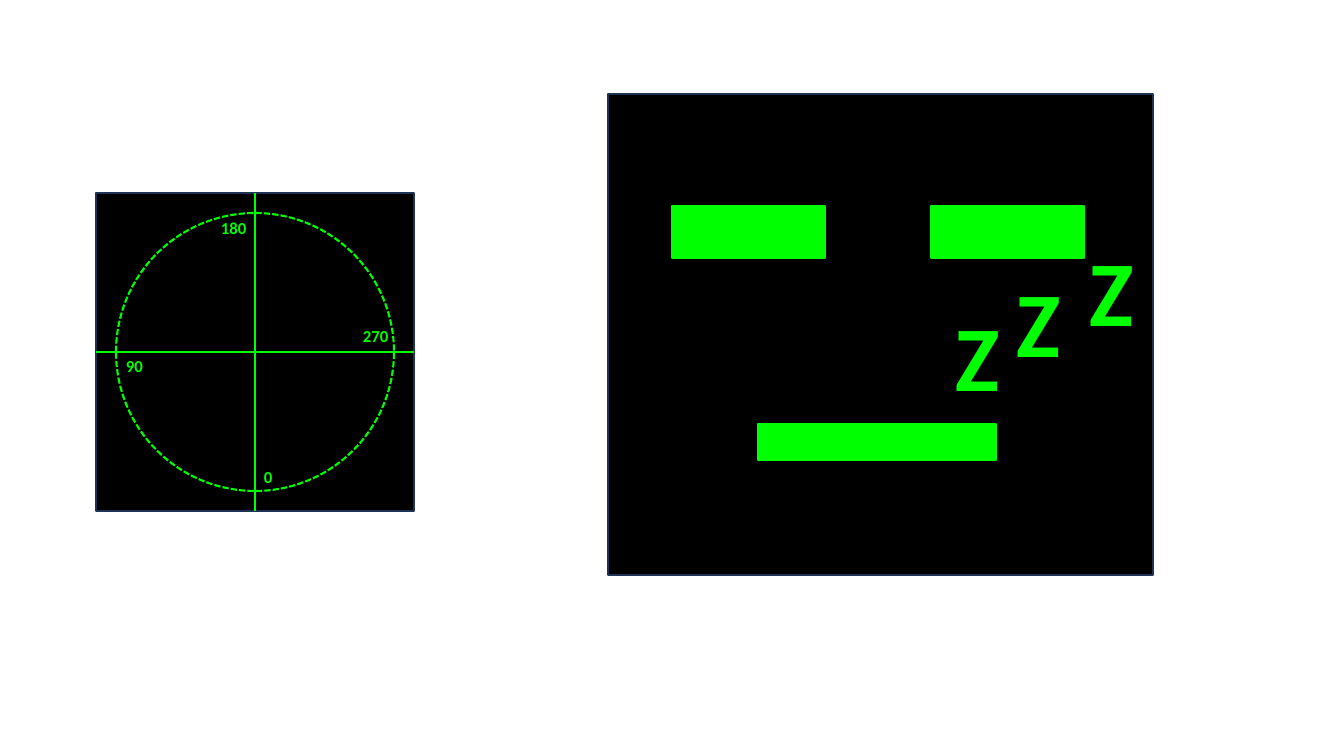
from lxml.etree import SubElement
from pptx import Presentation
from pptx.dml.color import RGBColor
from pptx.enum.dml import MSO_LINE
from pptx.enum.shapes import MSO_CONNECTOR, MSO_SHAPE
from pptx.enum.text import MSO_AUTO_SIZE
from pptx.oxml.ns import qn
from pptx.util import Emu, Pt

GREEN = "00FF00"
BLACK = "000000"
NAVY = "1E3256"


def px(n):
    return Emu(round(n * 914400 / 100.8))


def paint(fmt, color):
    fmt.solid()
    fmt.fore_color.rgb = RGBColor.from_string(color)


def add_box(s, kind, x, y, w, h, fill, line, width=1):
    sp = s.shapes.add_shape(kind, px(x), px(y), px(w), px(h))
    sp.shadow.inherit = False
    paint(sp.fill, fill)
    paint(sp.line.fill, line)
    sp.line.width = Pt(width)
    return sp


def add_axis(s, box, start, end):
    line = s.shapes.add_connector(MSO_CONNECTOR.STRAIGHT, 0, 0, 0, 0)
    line.begin_connect(box, start)
    line.end_connect(box, end)
    paint(line.line.fill, GREEN)
    line.line.width = Pt(1.5)
    SubElement(line._element.spPr, qn("a:effectLst"))


def add_label(s, text, x, y, w, h, size):
    tf = s.shapes.add_textbox(px(x), px(y), px(w), px(h)).text_frame
    tf.word_wrap = True
    tf.auto_size = MSO_AUTO_SIZE.SHAPE_TO_FIT_TEXT
    p = tf.paragraphs[0]
    p.text = text
    p.font.name = "Calibri"
    p.font.size = Pt(size)
    p.font.bold = True
    paint(p.font.fill, GREEN)


def add_dial(s):
    panel = add_box(s, MSO_SHAPE.RECTANGLE, 96, 193, 318, 318, BLACK, NAVY)
    ring = add_box(s, MSO_SHAPE.OVAL, 116, 213, 278, 278, BLACK, GREEN, 1.5)
    ring.line.dash_style = MSO_LINE.SQUARE_DOT
    add_axis(s, panel, 1, 3)
    add_axis(s, panel, 0, 2)
    for text, x, y, w in (("0", 254, 462, 44), ("90", 116, 351, 55),
                          ("180", 211, 213, 51), ("270", 353, 321, 51)):
        add_label(s, text, x, y, w, 30, 12)


def add_sleeping_face(s):
    add_box(s, MSO_SHAPE.RECTANGLE, 608, 94, 545, 481, BLACK, NAVY)
    for eye_x in (672, 931):
        add_box(s, MSO_SHAPE.RECTANGLE, eye_x, 206, 153, 52, GREEN, GREEN)
    add_box(s, MSO_SHAPE.RECTANGLE, 758, 424, 238, 36, GREEN, GREEN)
    for x, y in ((946, 294), (1080, 229), (1007, 260)):
        add_label(s, "Z", x, y, 41, 122, 66)


def main():
    prs = Presentation()
    prs.slide_width = px(1344)
    prs.slide_height = px(756)
    s = prs.slides.add_slide(prs.slide_layouts[6])
    add_dial(s)
    add_sleeping_face(s)
    prs.save("out.pptx")


if __name__ == "__main__":
    main()
